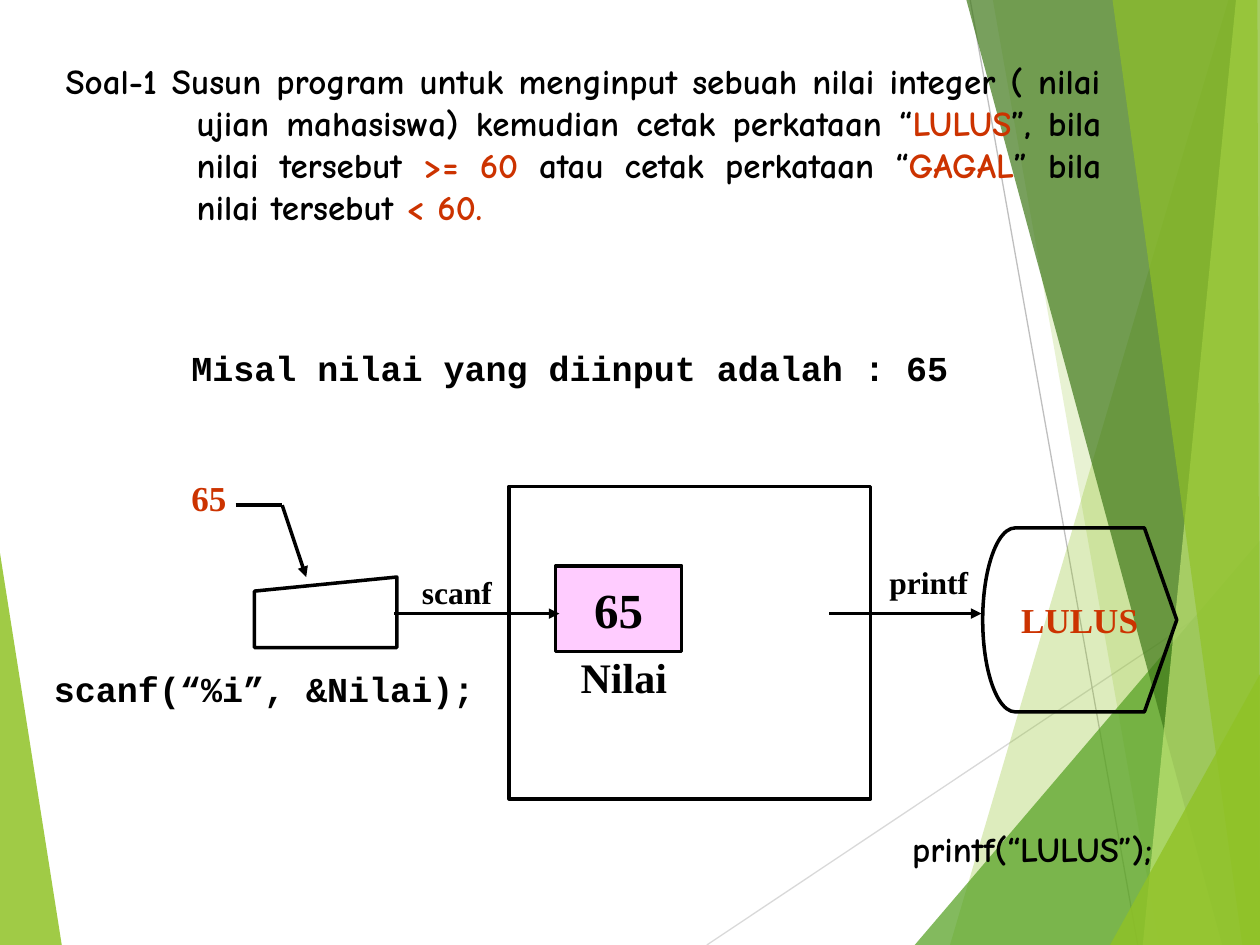
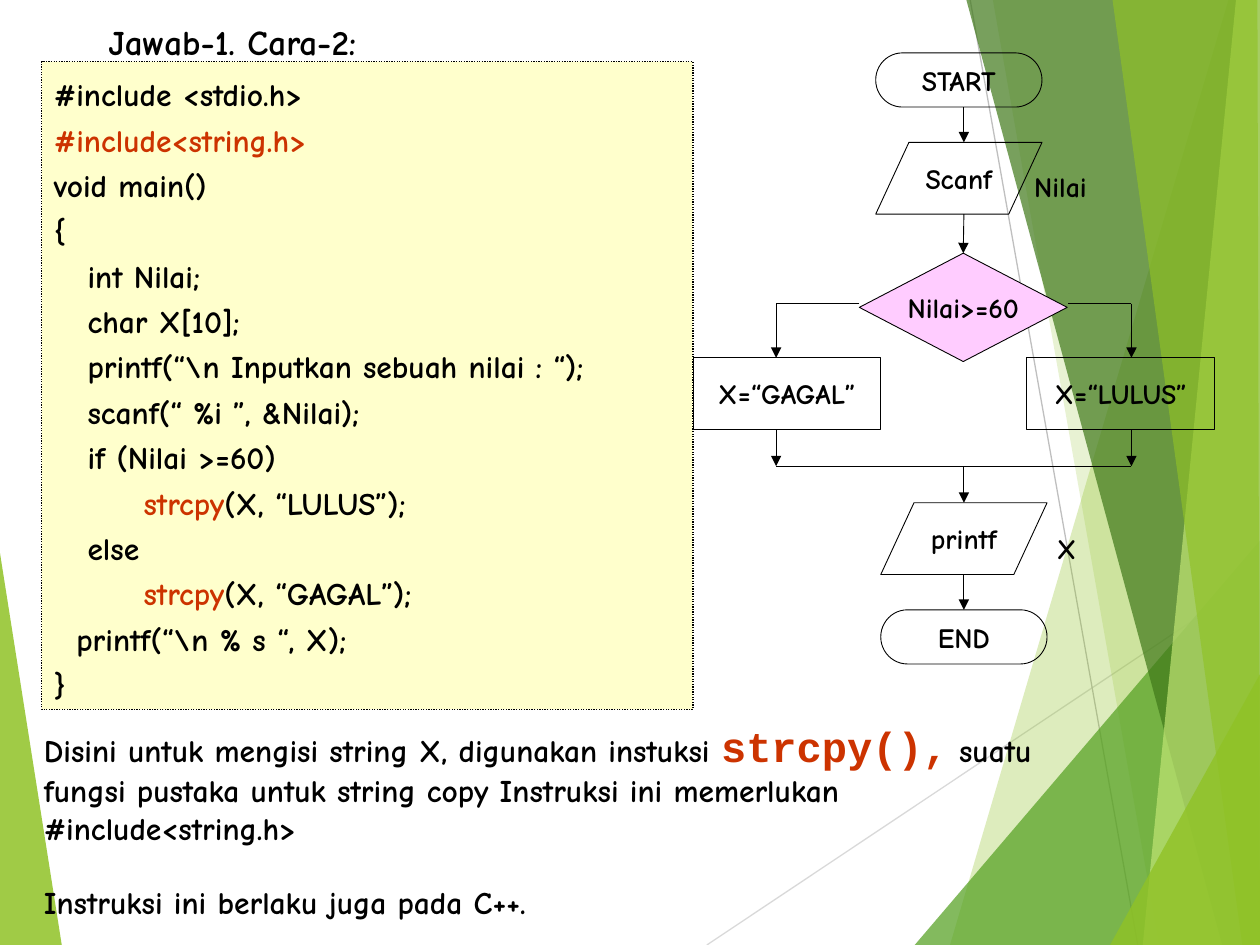
from dataclasses import dataclass

import lxml.etree
import pptx
import pptx.dml.color
import pptx.enum.dml
import pptx.enum.shapes
import pptx.enum.text
import pptx.oxml.ns
import pptx.util

Inches = pptx.util.Inches
MSO = pptx.enum.shapes.MSO_SHAPE
ALIGN = pptx.enum.text.PP_ALIGN
ANCHOR = pptx.enum.text.MSO_ANCHOR
RGB = pptx.dml.color.RGBColor.from_string
qn = pptx.oxml.ns.qn


@dataclass(frozen=True)
class Theme:
    ink: str = "000000"
    accent: str = "CC3300"
    pink: str = "FFCCFF"
    cream: str = "FFFFCC"
    green: str = "90C226"
    mid_green: str = "54A021"
    dark_green: str = "3F7819"
    pale_green: str = "C0E474"
    grey: str = "BFBFBF"
    pale_grey: str = "D9D9D9"
    hand: str = "Comic Neue"
    mono: str = "Courier New"
    serif: str = "Times New Roman"
    heading: int = 20
    body: int = 18
    flow: int = 16
    name: int = 24
    value: int = 28
    thick: float = 2
    hair: float = 0.75
    thin: float = 0.5


T = Theme()


def put(s, box, text="", kind=None, fill=None, line=T.thick, font=T.hand,
        size=T.heading, color=T.ink, align=None, wrap=False, hang=0, spacing=None,
        gap=0, accent_font=None, accent_size=None):
    """Place a title, text box or preset shape; text between bars is accented."""
    box = [Inches(v) for v in box]
    if kind == "title":
        sp = s.shapes.title
        sp.left, sp.top, sp.width, sp.height = box
    elif kind is None:
        sp = s.shapes.add_textbox(*box)
    else:
        sp = s.shapes.add_shape(kind, *box)
        sp.shadow.inherit = False
        sp.line.color.rgb = RGB(T.ink)
        sp.line.width = pptx.util.Pt(line)
        if fill:
            sp.fill.solid()
            sp.fill.fore_color.rgb = RGB(fill)
        else:
            sp.fill.background()
    if not text:
        return sp
    centred = kind not in (None, "title") and align is None
    tf = sp.text_frame
    tf.word_wrap = wrap
    tf.auto_size = pptx.enum.text.MSO_AUTO_SIZE.NONE
    tf.vertical_anchor = ANCHOR.MIDDLE if centred else ANCHOR.TOP
    for i, row in enumerate(text.split("\n")):
        p = tf.add_paragraph() if i else tf.paragraphs[0]
        p.alignment = ALIGN.CENTER if centred else align or ALIGN.LEFT
        if hang:
            pPr = p._p.get_or_add_pPr()
            pPr.set("marL", str(Inches(hang)))
            pPr.set("indent", str(-Inches(hang)))
        if spacing:
            p.line_spacing = spacing
        if i and gap:
            p.space_before = pptx.util.Pt(gap)
        for j, part in enumerate(row.split("|")):
            if not part:
                continue
            accented = j % 2 == 1
            r = p.add_run()
            r.text = part
            r.font.bold = True
            r.font.name = accent_font if accented and accent_font else font
            r.font.size = pptx.util.Pt(accent_size if accented and accent_size else size)
            r.font.color.rgb = RGB(T.accent if accented else color)
    return sp


def link(s, x1, y1, x2, y2, width=T.thin, color=T.ink, arrow=True, end=None):
    """Draw a straight line; end is a (shape, site) pair to join."""
    c = s.shapes.add_connector(pptx.enum.shapes.MSO_CONNECTOR.STRAIGHT,
                               Inches(x1), Inches(y1), Inches(x2), Inches(y2))
    if end:
        c.end_connect(*end)
    c.line.color.rgb = RGB(color)
    c.line.width = pptx.util.Pt(width)
    spPr = c.element.spPr
    if arrow:
        lxml.etree.SubElement(spPr.find(qn("a:ln")), qn("a:tailEnd"), type="triangle")
    lxml.etree.SubElement(spPr, qn("a:effectLst"))
    return c


prs = pptx.Presentation()
prs.slide_width, prs.slide_height = Inches(10), Inches(7.5)
layout = prs.slide_layouts[5]
s = prs.slides.add_slide(layout)

# Shared backdrop: grey lines and translucent bands, moved onto the layout
decor = [
    link(s, 5.61, 7.5, 10, 4.57, T.hair, T.pale_grey, arrow=False),
    link(s, 7.7, 0, 9.03, 7.5, T.hair, T.grey, arrow=False),
]
bands = [
    (T.green, 85, [(0, 4.39), (0.49, 7.5), (0, 7.5)]),
    (T.green, 30, [(9.75, 0), (7.54, 7.5), (10, 7.5), (10, 0)]),
    (T.green, 20, [(7.88, 0), (9.2, 7.5), (10, 7.5), (10, 0)]),
    (T.mid_green, 72, [(7.26, 7.5), (10, 4.29), (10, 7.5)]),
    (T.dark_green, 70, [(7.67, 0), (9.7, 7.5), (10, 7.5), (10, 0)]),
    (T.pale_green, 70, [(9.81, 0), (9.07, 7.5), (10, 7.5), (10, 0)]),
    (T.green, 65, [(8.83, 0), (9.86, 7.5), (10, 7.5), (9.98, 0)]),
    (T.green, 80, [(8.81, 7.5), (10, 5.35), (10, 7.5)]),
]
for color, opacity, corners in bands:
    points = [(Inches(x), Inches(y)) for x, y in corners]
    fb = s.shapes.build_freeform(*points[0])
    fb.add_line_segments(points[1:], close=True)
    sp = fb.convert_to_shape()
    sp.shadow.inherit = False
    sp.line.fill.background()
    sp.fill.solid()
    sp.fill.fore_color.rgb = RGB(color)
    tint = sp.element.spPr.find(qn("a:solidFill")).find(qn("a:srgbClr"))
    lxml.etree.SubElement(tint, qn("a:alpha"), val=str(opacity * 1000))
    decor.append(sp)
for n, sp in enumerate(decor, 100):
    sp.element.find(".//" + qn("p:cNvPr")).set("id", str(n))
    layout.shapes.element.append(sp.element)

# Slide 1: the exercise
put(s, (0.42, 0.42, 8.42, 1.44),
    "Soal-1 Susun program untuk menginput sebuah nilai integer ( nilai ujian mahasiswa) "
    "kemudian cetak perkataan “|LULUS|”, bila nilai tersebut |>= 60| atau cetak perkataan "
    "“|GAGAL|” bila nilai tersebut |< 60.|",
    kind="title", wrap=True, align=ALIGN.JUSTIFY, hang=1.04)

# Input, memory and output shapes
put(s, (4.41, 4.49, 1, 0.68), "65", MSO.RECTANGLE, T.pink, font=T.serif, size=T.value)
put(s, (4.04, 3.86, 2.87, 2.48), kind=MSO.RECTANGLE)
put(s, (2.02, 4.58, 1.13, 0.56), kind=MSO.FLOWCHART_MANUAL_INPUT)
display = put(s, (7.8, 4.19, 1.54, 1.46), "LULUS", MSO.FLOWCHART_DISPLAY,
              font=T.serif, color=T.accent)
display.element.spPr.find(qn("a:xfrm")).set("flipH", "1")

# Data flow
link(s, 3.13, 4.87, 4.44, 4.87, T.thick)
link(s, 6.58, 4.87, 7.79, 4.87, T.thick)
link(s, 1.87, 4.01, 2.24, 4.01, T.thick, arrow=False)
link(s, 2.24, 4.01, 2.43, 4.58, T.thick)

# Labels and statements
for box, text, font, size, color in [
    ((4.51, 5.12, 0.88, 0.5), "Nilai", T.serif, T.name, T.ink),
    ((3.25, 4.5, 0.75, 0.4), "scanf", T.serif, T.body, T.ink),
    ((6.96, 4.42, 0.82, 0.4), "printf", T.serif, T.body, T.ink),
    ((1.42, 3.73, 0.48, 0.44), "65", T.serif, T.heading, T.accent),
    ((1.42, 2.7, 6.21, 0.44), "Misal nilai yang diinput adalah : 65", T.mono, T.heading, T.ink),
    ((0.33, 5.25, 3.54, 0.44), "scanf(“%i”, &Nilai);", T.mono, T.heading, T.ink),
    ((7.14, 6.52, 2.13, 0.44), "printf(“LULUS”);", T.hand, T.heading, T.ink),
]:
    put(s, box, text, font=font, size=size, color=color)

# Slide 2: the answer
s = prs.slides.add_slide(layout)
put(s, (0.76, 0.11, 2.18, 0.44), "Jawab-1. Cara-2:", kind="title")

# Program listing
code = r"""#include <stdio.h>
|#include<string.h>|
void main()
{
   int Nilai;
   char X[10];
   printf(“\n Inputkan sebuah nilai : “);
   scanf(“ %i ”, &Nilai);
   if (Nilai >=60)
        |strcpy|(X, “LULUS”);
   else
        |strcpy|(X, “GAGAL”);
  printf(“\n % s “, X);
}"""
listing = put(s, (0.33, 0.49, 5.17, 5.14), code, MSO.RECTANGLE, T.cream, T.hair,
              size=T.body, align=ALIGN.LEFT, wrap=True, spacing=1.2)
listing.line.dash_style = pptx.enum.dml.MSO_LINE.ROUND_DOT

# Flowchart steps
steps = {}
for box, text, kind, fill in [
    ((6.95, 0.42, 1.32, 0.43), "START", MSO.FLOWCHART_TERMINATOR, None),
    ((6.95, 1.13, 1.32, 0.57), "Scanf", MSO.FLOWCHART_DATA, None),
    ((6.82, 2.01, 1.65, 0.86), "Nilai>=60", MSO.FLOWCHART_DECISION, T.pink),
    ((5.5, 2.84, 1.49, 0.57), "X=“GAGAL”", MSO.RECTANGLE, None),
    ((8.15, 2.84, 1.49, 0.57), "X=“LULUS”", MSO.RECTANGLE, None),
    ((6.99, 3.99, 1.32, 0.57), "printf", MSO.FLOWCHART_DATA, None),
    ((6.99, 4.84, 1.32, 0.43), "END", MSO.FLOWCHART_TERMINATOR, None),
]:
    steps[text] = put(s, box, text, kind, fill, T.thin, size=T.flow)
put(s, (8.11, 1.3, 0.61, 0.37), "Nilai", size=T.flow)
put(s, (8.29, 4.17, 0.35, 0.37), "X", size=T.flow)

# Main stem, then the two branches and where they meet
stem, fork, merge = 7.65, 2.41, 3.7
for top, bottom, end in [(0.85, 1.13, None), (1.7, 2.01, (steps["Nilai>=60"], 0)),
                         (merge, 3.99, None), (4.56, 4.84, (steps["END"], 0))]:
    link(s, stem, top, stem, bottom, end=end)
for corner, branch in [(6.82, 6.16), (8.48, 8.98)]:
    link(s, corner, fork, branch, fork, arrow=False)
    link(s, branch, fork, branch, 2.84)
    link(s, branch, 3.41, branch, merge)
link(s, 6.16, merge, 8.98, merge, arrow=False)

# Explanation
put(s, (0.25, 5.67, 8.4, 1.7),
    "Disini untuk mengisi string X, digunakan instuksi |strcpy(),| suatu fungsi pustaka "
    "untuk string copy Instruksi ini memerlukan #include<string.h>\n"
    "Instruksi ini berlaku juga pada C++.",
    size=T.body, wrap=True, gap=21, accent_font=T.mono, accent_size=T.name)

prs.save("out.pptx")
